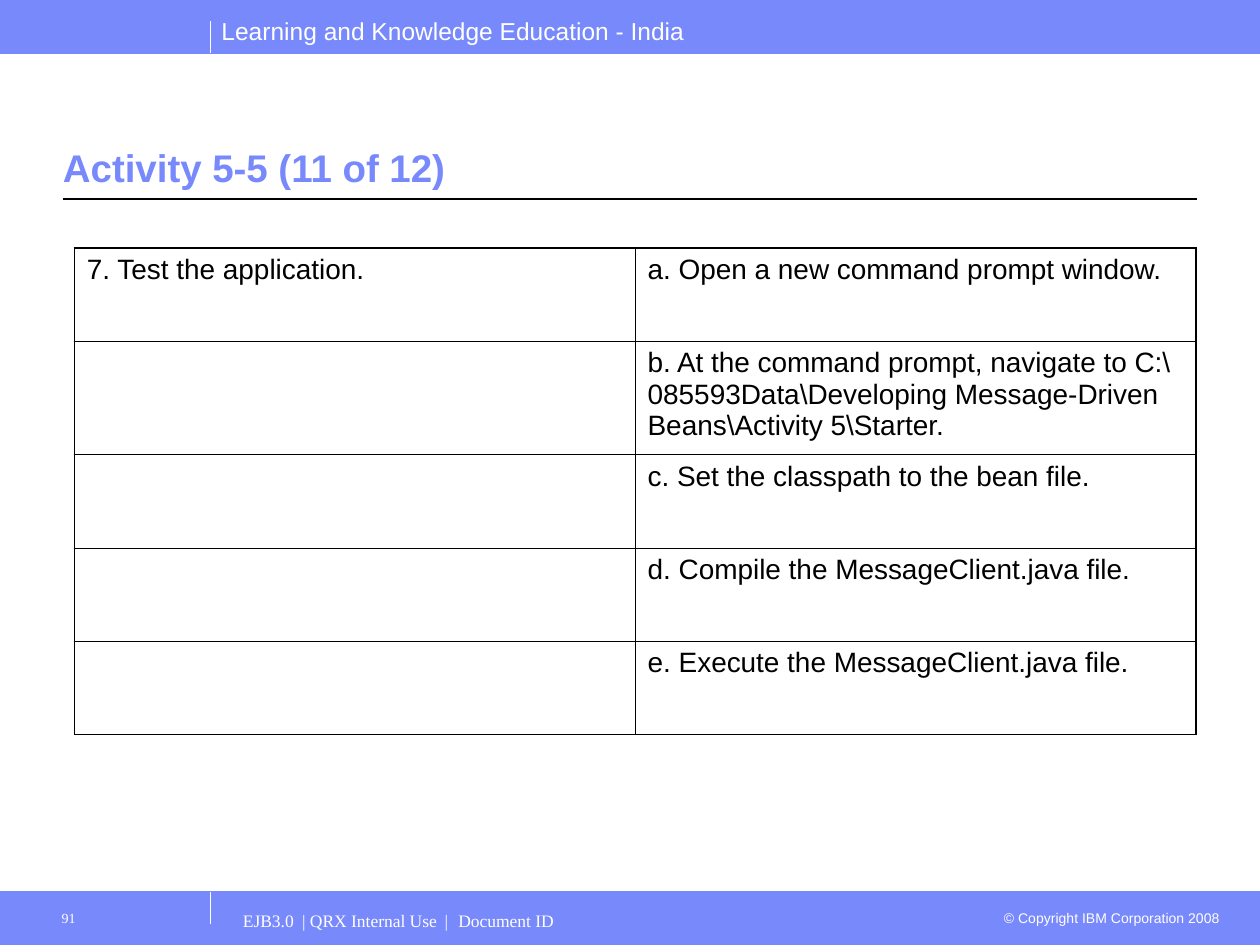
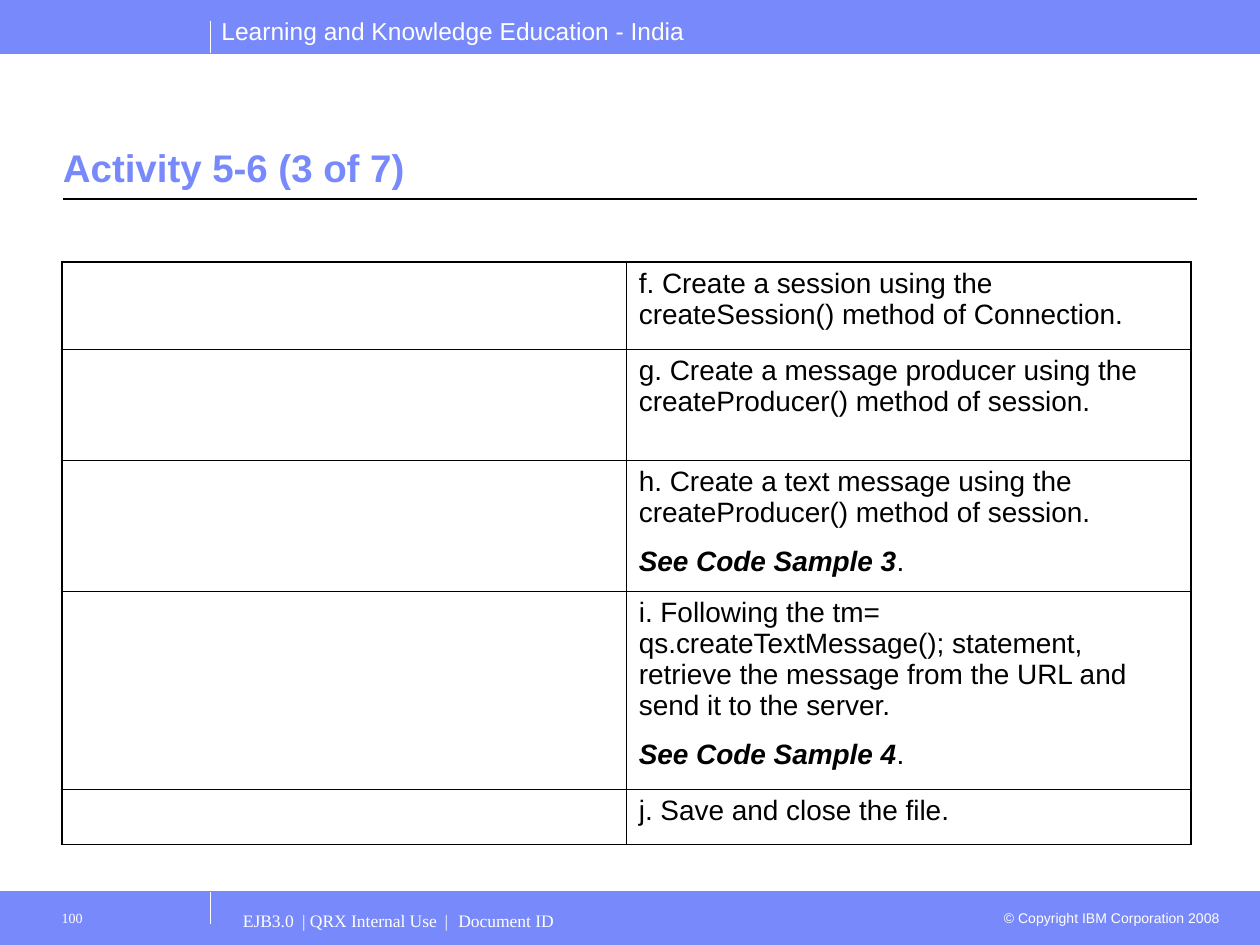
from pptx import Presentation
from pptx.dml.color import RGBColor
from pptx.enum.shapes import MSO_CONNECTOR as Connector, MSO_SHAPE as Shape
from pptx.enum.text import MSO_ANCHOR as Anchor, PP_ALIGN as Align
from pptx.oxml.ns import qn
from pptx.util import Inches, Pt
from lxml.etree import SubElement

COLORS = {"band": "7889FB", "paper": "FFFFFF", "ink": "000000"}
SANS, SERIF = "Arial", "Times New Roman"
WIDTH, HEIGHT, BAND_HEIGHT = 10, 7.5, 0.42
DIVIDER_X, DIVIDER_LENGTH = 1.67, 0.25
OUTER_BORDER, INNER_BORDER = 1.08, 0.45
FOOTER_TABS = [0.47, 1.6, 1.71]


def rgb(name):
    """Return the palette colour with this name."""
    return RGBColor.from_string(COLORS[name])


def add_run(paragraph, text, size, font_name, color, bold=False, italic=False):
    """Add one formatted run to a paragraph."""
    run = paragraph.add_run()
    run.text = text
    font = run.font
    font.size, font.name = Pt(size), font_name
    font.bold, font.italic = bold, italic
    font.color.rgb = rgb(color)


def add_label(slide, box, text, size, font_name=SANS, color="paper", bold=False,
              align=Align.LEFT, anchor=Anchor.TOP, insets=(0.1, 0.05, 0.1, 0.05),
              tabs=()):
    """Add a one-line text box."""
    frame = slide.shapes.add_textbox(*map(Inches, box)).text_frame
    frame.word_wrap = True
    frame.vertical_anchor = anchor
    (frame.margin_left, frame.margin_top,
     frame.margin_right, frame.margin_bottom) = map(Inches, insets)
    paragraph = frame.paragraphs[0]
    paragraph.alignment = align
    if tabs:
        tab_list = SubElement(paragraph._p.get_or_add_pPr(), qn("a:tabLst"))
        for position in tabs:
            SubElement(tab_list, qn("a:tab"), pos=str(Inches(position)), algn="l")
    add_run(paragraph, text, size, font_name, color, bold)


def add_line(slide, start, end, color, width=0.75):
    """Draw a straight line without a shadow."""
    line = slide.shapes.add_connector(Connector.STRAIGHT, *map(Inches, start + end))
    line.line.color.rgb = rgb(color)
    line.line.width = Pt(width)
    SubElement(line._element.spPr, qn("a:effectLst"))


def add_band(slide, box, edge_y, divider_y):
    """Draw a full-width band with its inner edge and white divider."""
    left, top, width, height = box
    band = slide.shapes.add_shape(Shape.RECTANGLE, *map(Inches, box))
    band.shadow.inherit = False
    band.fill.solid()
    band.fill.fore_color.rgb = rgb("band")
    band.line.color.rgb = rgb("band")
    band.line.width = Pt(0.75)
    add_line(slide, (left, top + edge_y), (left + width, top + edge_y), "band", 0.5)
    divider_x, divider_top = left + DIVIDER_X, top + divider_y
    add_line(slide, (divider_x, divider_top),
             (divider_x, divider_top + DIVIDER_LENGTH), "paper")


def add_header(slide, box):
    """Add the top band with the department name."""
    left, top, width, height = box
    add_band(slide, box, height, height - DIVIDER_LENGTH)
    add_label(slide, (left + 1.66, top + 0.08, 4.5, 0.34),
              "Learning and Knowledge Education - India", 14)


def add_footer(slide, box, page_number):
    """Add the bottom band with page number, document line and copyright."""
    left, top, width, height = box
    add_band(slide, box, 0, 0)
    add_label(slide, (left + width - 2.17, top + 0.09, 1.95, 0.24),
              "© Copyright IBM Corporation 2008", 8, align=Align.RIGHT)
    add_label(slide, (left + 1.83, top + 0.07, 6, 0.35),
              "EJB3.0\t| QRX Internal Use\t|\tDocument ID", 10, SERIF,
              insets=(0.1, 0.07, 0.1, 0.05), tabs=FOOTER_TABS)
    add_label(slide, (left + 0.33, top + 0.07, 1.33, 0.35), str(page_number), 8, SERIF,
              insets=(0.16, 0.07, 0.1, 0.05))


def add_title(slide, box, text):
    """Add the slide title with the rule below it."""
    left, top, width, height = box
    add_label(slide, box, text, 22, color="band", bold=True, anchor=Anchor.BOTTOM,
              insets=(0, 0.05, 0, 0.05))
    rule_y = top + height + 0.02
    add_line(slide, (left, rule_y), (left + width, rule_y), "ink")


def set_borders(cell, outer_sides):
    """Draw the four borders of a cell, heavier on the outer sides."""
    properties = cell._tc.get_or_add_tcPr()
    for side in "LRTB":
        weight = OUTER_BORDER if side in outer_sides else INNER_BORDER
        border = SubElement(properties, qn(f"a:ln{side}"), w=str(Pt(weight)))
        fill = SubElement(border, qn("a:solidFill"))
        SubElement(fill, qn("a:srgbClr"), val=COLORS["ink"])
    cell.fill.background()


def fill_cell(cell, text, code_sample):
    """Write a step and its optional code sample reference."""
    paragraph = cell.text_frame.paragraphs[0]
    paragraph.space_after = Pt(10)
    add_run(paragraph, text, 16, SANS, "ink")
    if code_sample:
        reference = cell.text_frame.add_paragraph()
        reference.space_after = Pt(10)
        add_run(reference, code_sample, 16, SANS, "ink", bold=True, italic=True)
        add_run(reference, ".", 16, SANS, "ink")


def add_steps_table(slide, box, steps):
    """Add the task and step table from (height, task, step, code sample) rows."""
    left, top, width = box
    height = sum(step[0] for step in steps)
    table = slide.shapes.add_table(
        len(steps), 2, *map(Inches, (left, top, width, height))).table
    table.first_row = table.horz_banding = False
    for column in table.columns:
        column.width = Inches(width / 2)
    for index, (row_height, task, step, code_sample) in enumerate(steps):
        table.rows[index].height = Inches(row_height)
        ends = ("T" if index == 0 else "") + ("B" if index == len(steps) - 1 else "")
        task_cell, step_cell = table.cell(index, 0), table.cell(index, 1)
        set_borders(task_cell, "L" + ends)
        set_borders(step_cell, "R" + ends)
        if task:
            fill_cell(task_cell, task, None)
        fill_cell(step_cell, step, code_sample)


def add_activity_slide(presentation, title, page_number, table_box, steps):
    """Build one activity slide."""
    slide = presentation.slides.add_slide(presentation.slide_layouts[6])
    slide.background.fill.solid()
    slide.background.fill.fore_color.rgb = rgb("paper")
    add_header(slide, (0, 0, WIDTH, BAND_HEIGHT))
    add_title(slide, (0.5, 0.64, 9, 0.92), title)
    add_steps_table(slide, table_box, steps)
    add_footer(slide, (0, HEIGHT - BAND_HEIGHT, WIDTH, BAND_HEIGHT), page_number)


ACTIVITIES = [
    ("Activity 5-5 (11 of 12)", 91, (0.59, 1.97, 8.9), [
        (0.74, "7. Test the application.", "a. Open a new command prompt window.", None),
        (0.9, None, "b. At the command prompt, navigate to C:\\ 085593Data\\Developing "
                    "Message-Driven Beans\\Activity 5\\Starter.", None),
        (0.74, None, "c. Set the classpath to the bean file.", None),
        (0.74, None, "d. Compile the MessageClient.java file.", None),
        (0.74, None, "e. Execute the MessageClient.java file.", None),
    ]),
    ("Activity 5-6 (3 of 7)", 100, (0.49, 2.08, 8.96), [
        (0.69, None, "f. Create a session using the createSession() method of "
                     "Connection.", None),
        (0.88, None, "g. Create a message producer using the createProducer() method "
                     "of session.", None),
        (1.04, None, "h. Create a text message using the createProducer() method of "
                     "session.", "See Code Sample 3"),
        (1.57, None, "i. Following the tm= qs.createTextMessage(); statement, retrieve "
                     "the message from the URL and send it to the server.",
         "See Code Sample 4"),
        (0.44, None, "j. Save and close the file.", None),
    ]),
]


def main():
    """Build and save the presentation."""
    presentation = Presentation()
    presentation.slide_width, presentation.slide_height = Inches(WIDTH), Inches(HEIGHT)
    for activity in ACTIVITIES:
        add_activity_slide(presentation, *activity)
    presentation.save("out.pptx")


if __name__ == "__main__":
    main()
